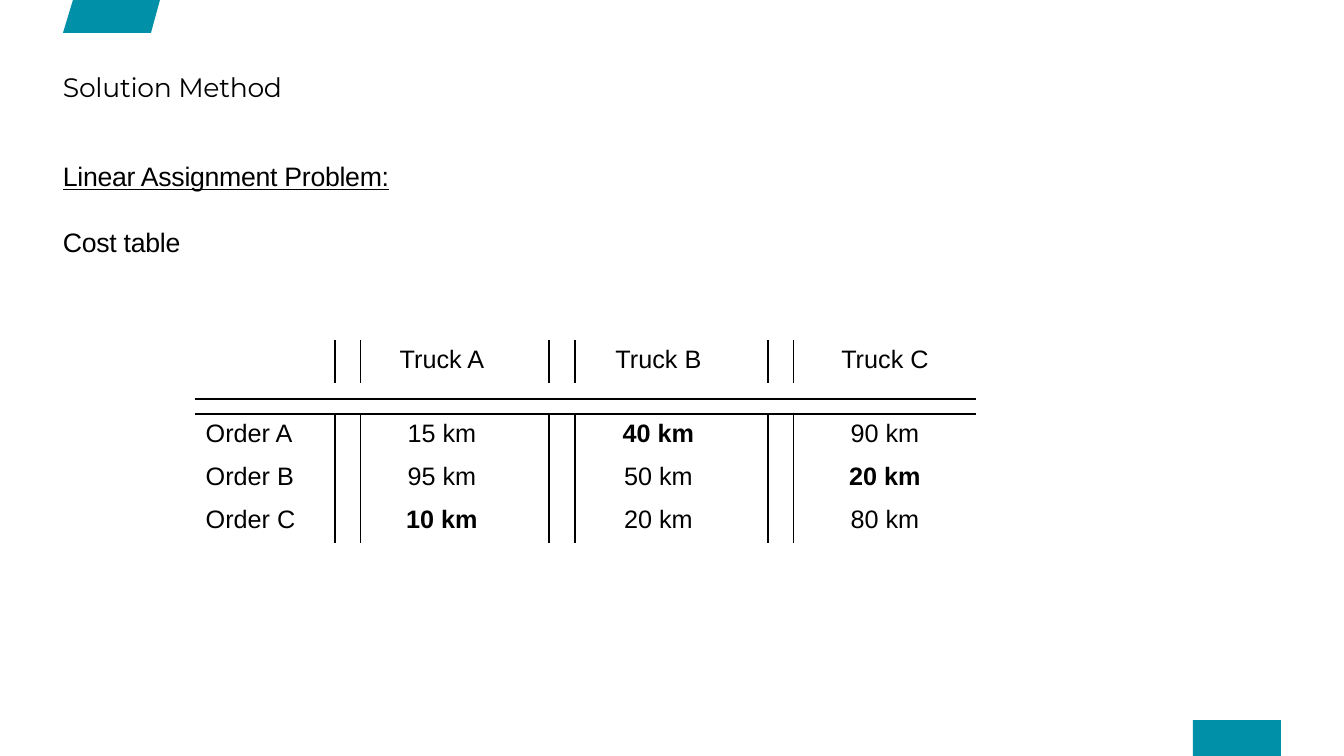
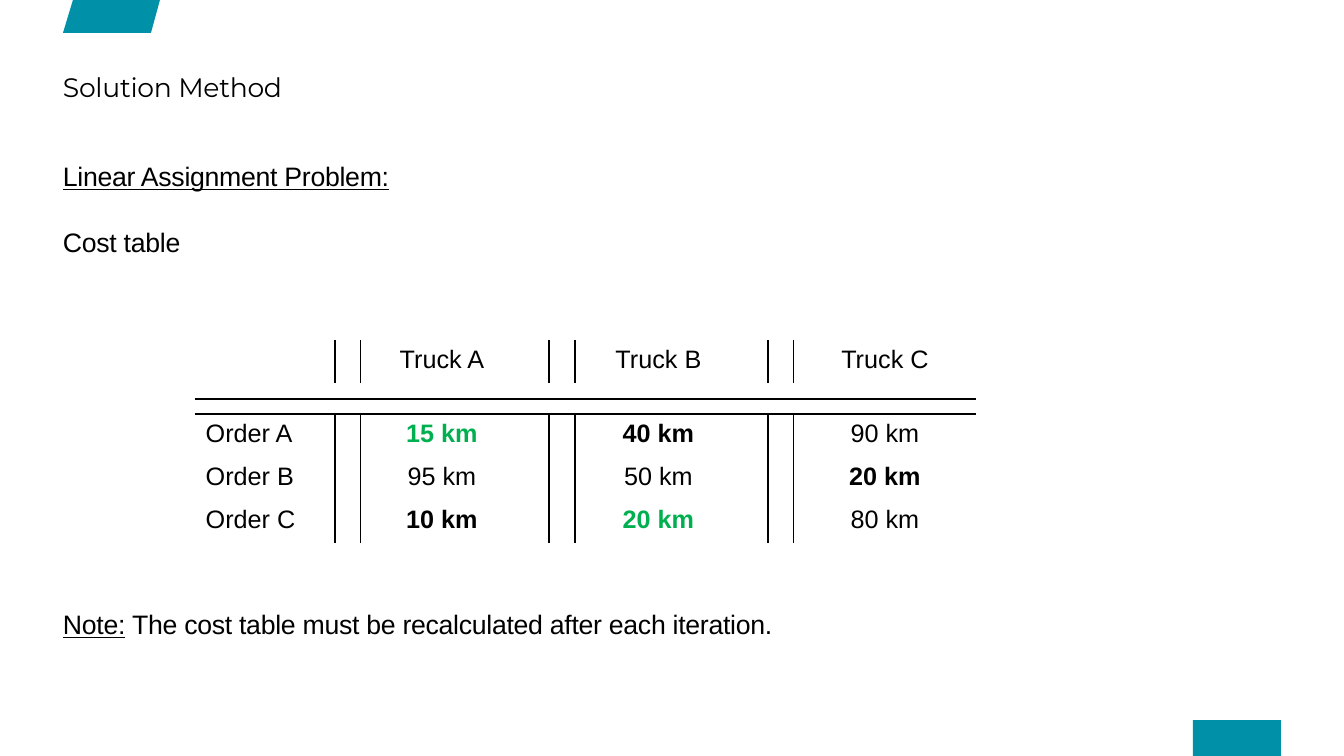
from lxml import etree
from pptx import Presentation
from pptx.dml.color import RGBColor
from pptx.enum.shapes import MSO_SHAPE
from pptx.enum.text import MSO_ANCHOR, PP_ALIGN
from pptx.oxml.ns import qn
from pptx.util import Pt

RECTANGLE = MSO_SHAPE.RECTANGLE
TOP = MSO_ANCHOR.TOP
LEFT, CENTER = PP_ALIGN.LEFT, PP_ALIGN.CENTER
TEAL = RGBColor(0x00, 0x90, 0xA7)
GREEN = RGBColor(0x00, 0xB0, 0x50)
BLACK = RGBColor(0x00, 0x00, 0x00)
EMU_PER_PX = 8572.5
NO_GRID_STYLE = "{2D5ABB26-0587-4C30-8999-92F81FD0307C}"

COLUMN_WIDTHS = (140, 25, 163, 25, 26, 167, 26, 25, 183)
ROW_HEIGHTS = (43, 16, 15, 43, 43, 43)
RULE_COLUMNS = (1, 4, 7)
VALUE_COLUMNS = (2, 5, 8)
HEADER_ROW, ABOVE_RULE, BELOW_RULE, FIRST_ORDER = range(4)
TRUCKS = ("Truck A", "Truck B", "Truck C")
COSTS = {
    "Order A": (15, 40, 90),
    "Order B": (95, 50, 20),
    "Order C": (10, 20, 80),
}
GREEDY_CHOICE = {(0, 1), (1, 2), (2, 0)}
BETTER_CHOICE = {(0, 0), (2, 1)}


def px(length):
    """Turn pixels into EMU."""
    return round(length * EMU_PER_PX)


class CostDeck:
    """Holds the deck style and the slide being built."""

    def __init__(self):
        """Start an empty deck of the right size."""
        self.deck = Presentation()
        self.deck.slide_width, self.deck.slide_height = px(1344), px(756)
        self.slide = None

    def add_slide(self, title):
        """Add a slide with the title and the shared teal marks."""
        self.slide = self.deck.slides.add_slide(self.deck.slide_layouts[5])
        builder = self.slide.shapes.build_freeform(73, 0, scale=EMU_PER_PX)
        builder.add_line_segments([(63, 33), (151, 33), (160, 0)])
        badge = self.slide.shapes.add_shape(
            RECTANGLE, px(1193), px(720), px(88), px(36))
        for mark in (builder.convert_to_shape(), badge):
            mark.shadow.inherit = False
            mark.fill.solid()
            mark.fill.fore_color.rgb = TEAL
            mark.line.fill.background()
        box = self.slide.shapes.title
        self.place(box, 63, 71, 811, 71)
        box.text_frame.text = title
        box.text_frame.paragraphs[0].alignment = LEFT
        self.style(box.text_frame.paragraphs[0].runs[0], 18, "Montserrat", spacing=-20)

    def place(self, box, left, top, width, height):
        """Position a text holder and remove its insets."""
        box.left, box.top, box.width, box.height = map(px, (left, top, width, height))
        frame = box.text_frame
        frame.word_wrap = True
        frame.vertical_anchor = TOP
        frame.margin_left = frame.margin_right = 0
        frame.margin_top = frame.margin_bottom = 0

    def style(self, span, size, font="Arial", color=BLACK, bold=False,
              underline=False, spacing=None):
        """Format one run."""
        span.font.size, span.font.name = Pt(size), font
        span.font.bold, span.font.underline = bold, underline
        span.font.color.rgb = color
        if spacing is not None:
            span.font._element.set("spc", str(spacing))

    def add_text(self, top, height, paragraphs):
        """Add body paragraphs made of (text, underlined) spans."""
        box = self.slide.shapes.add_textbox(0, 0, 0, 0)
        self.place(box, 63, top, 1215, height)
        frame = box.text_frame
        for index, spans in enumerate(paragraphs):
            para = frame.add_paragraph() if index else frame.paragraphs[0]
            if index:
                para.space_before = Pt(22.5)
            for text, underline in spans:
                span = para.add_run()
                span.text = text
                self.style(span, 18, underline=underline, spacing=-20)

    def add_border(self, cell, side):
        """Draw a black hairline on one side of a cell."""
        line = etree.SubElement(cell._tc.get_or_add_tcPr(), qn(f"a:ln{side}"), w="12700")
        fill = etree.SubElement(line, qn("a:solidFill"))
        etree.SubElement(fill, qn("a:srgbClr"), val=str(BLACK))

    def fill_cell(self, cell, text, alignment=CENTER, **look):
        """Write formatted text into a cell."""
        para = cell.text_frame.paragraphs[0]
        para.text = text
        para.alignment = alignment
        self.style(para.runs[0], 17, **look)

    def prepare_cell(self, cell, row, column):
        """Set the borders, fill and empty-line size of a cell."""
        if column in RULE_COLUMNS and row not in (ABOVE_RULE, BELOW_RULE):
            for side in "L" if row == HEADER_ROW else "LR":
                self.add_border(cell, side)
        if row == ABOVE_RULE:
            self.add_border(cell, "B")
        if row == BELOW_RULE:
            self.add_border(cell, "T")
        cell.fill.background()
        if row in (ABOVE_RULE, BELOW_RULE):
            cell.margin_top = cell.margin_bottom = 0
        para = cell.text_frame.paragraphs[0]
        etree.SubElement(para._p, qn("a:endParaRPr"), sz="600")

    def add_cost_table(self, bold, green):
        """Add the cost table with the chosen cells marked."""
        frame = self.slide.shapes.add_table(
            len(ROW_HEIGHTS), len(COLUMN_WIDTHS), px(195), px(340),
            px(sum(COLUMN_WIDTHS)), px(sum(ROW_HEIGHTS)))
        table = frame.table
        table.first_row = table.horz_banding = False
        table._tbl.tblPr.find(qn("a:tableStyleId")).text = NO_GRID_STYLE
        for column, width in zip(table.columns, COLUMN_WIDTHS):
            column.width = px(width)
        for row, height in enumerate(ROW_HEIGHTS):
            table.rows[row].height = px(height)
            for column in range(len(COLUMN_WIDTHS)):
                self.prepare_cell(table.cell(row, column), row, column)
        for column, truck in zip(VALUE_COLUMNS, TRUCKS):
            self.fill_cell(table.cell(HEADER_ROW, column), truck)
        for order, (name, costs) in enumerate(COSTS.items()):
            row = FIRST_ORDER + order
            self.fill_cell(table.cell(row, 0), name, LEFT)
            for truck, cost in enumerate(costs):
                choice = (order, truck)
                self.fill_cell(
                    table.cell(row, VALUE_COLUMNS[truck]), f"{cost} km",
                    bold=choice in bold | green,
                    color=GREEN if choice in green else BLACK)

    def add_assignment_slide(self, green=frozenset(), note=None):
        """Add one step of the assignment example."""
        self.add_slide("Solution Method")
        self.add_text(160, 100, [[("Linear Assignment Problem:", True)],
                                 [("Cost table", False)]])
        self.add_cost_table(GREEDY_CHOICE, green)
        if note:
            self.add_text(608, 40, [[("Note:", True), (f" {note}", False)]])


def main():
    """Build and save the deck."""
    builder = CostDeck()
    builder.add_assignment_slide()
    builder.add_assignment_slide(
        BETTER_CHOICE, "The cost table must be recalculated after each iteration.")
    builder.deck.save("out.pptx")


if __name__ == "__main__":
    main()
